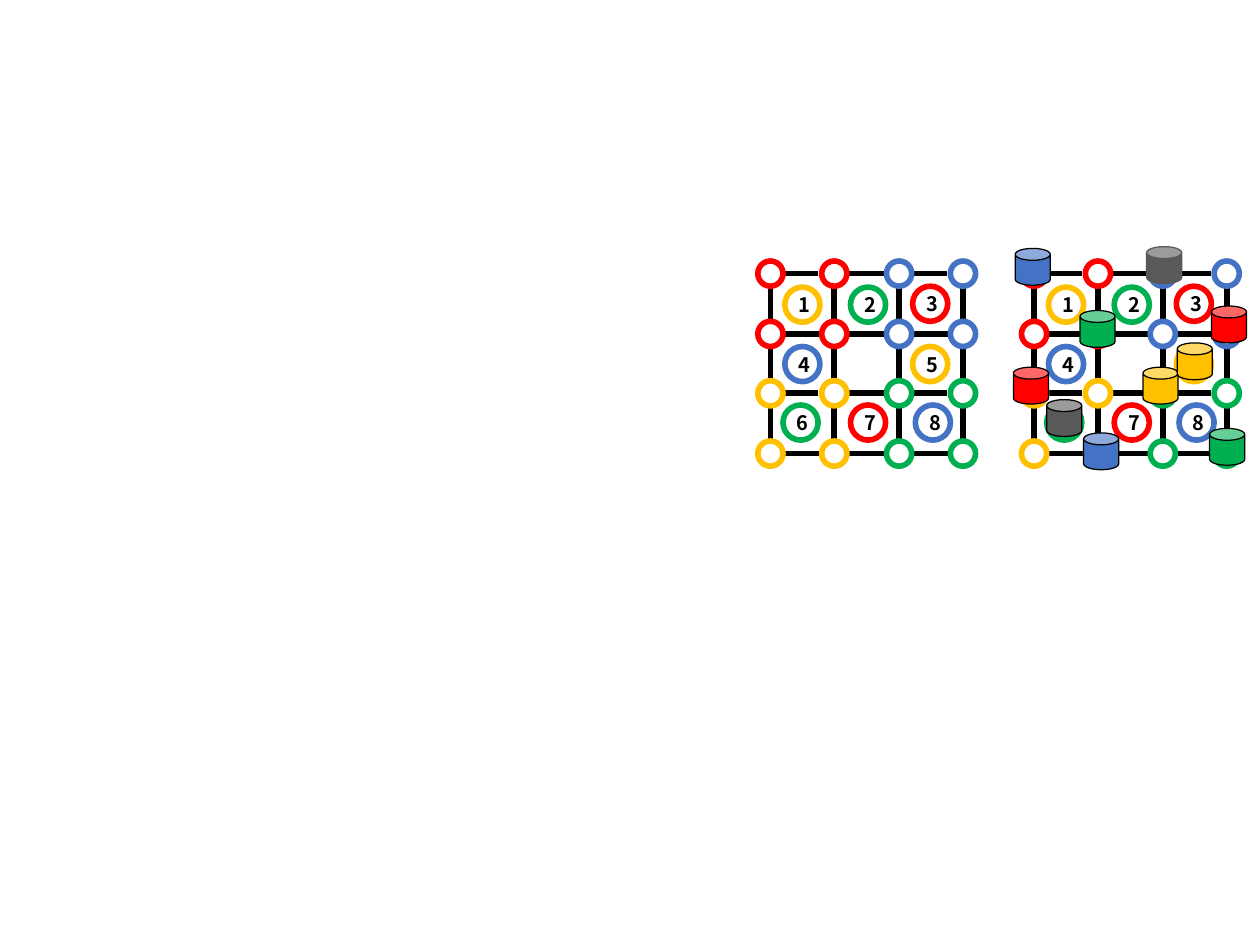
import pptx
import pptx.dml.color
import pptx.enum.shapes
import pptx.enum.text
import pptx.oxml
import pptx.util

PX = pptx.util.Inches(1) // 100
COLORS = {
    "black": "000000",
    "gray": "595959",
    "red": "FF0000",
    "blue": "4472C4",
    "yellow": "FFC000",
    "green": "00B050",
}
SHAPES = pptx.enum.shapes.MSO_SHAPE

NODE = 28
COLS = [842, 913, 985, 1056]
ROWS = [290, 357, 423, 490]
NODE_COLORS = [
    ["red", "red", "blue", "blue"],
    ["red", "red", "blue", "blue"],
    ["yellow", "yellow", "green", "green"],
    ["yellow", "yellow", "green", "green"],
]
TILES = [
    ("1", 872, 319, "yellow"),
    ("2", 945, 319, "green"),
    ("3", 1014, 318, "red"),
    ("4", 872, 385, "blue"),
    ("5", 1014, 385, "yellow"),
    ("6", 870, 450, "green"),
    ("7", 945, 450, "red"),
    ("8", 1017, 450, "blue"),
]
CANS = [
    (1128, 276, "blue", "black"),
    (1274, 274, "gray", "gray"),
    (1163, 444, "gray", "black"),
    (1346, 340, "red", "black"),
    (1126, 408, "red", "black"),
    (1270, 408, "yellow", "black"),
    (1308, 381, "yellow", "black"),
    (1200, 345, "green", "black"),
    (1344, 476, "green", "black"),
    (1204, 481, "blue", "black"),
]


class Board:
    font = "Noto Sans CJK JP"
    text_size = 16
    stroke = 4.5
    can_stroke = 1
    tile_size = 39

    def __init__(self, slide):
        self.slide = slide

    def color(self, name):
        return pptx.dml.color.RGBColor.from_string(COLORS[name])

    def outline(self, s, color, width):
        s.line.color.rgb = self.color(color)
        s.line.width = pptx.util.Pt(width)

    def shape(self, kind, x, y, w, h, line, width):
        sp = self.slide.shapes.add_shape(kind, x * PX, y * PX, w * PX, h * PX)
        sp.shadow.inherit = False
        self.outline(sp, line, width)
        return sp

    def edge(self, x1, y1, x2, y2):
        s = self.slide.shapes.add_connector(
            pptx.enum.shapes.MSO_CONNECTOR.STRAIGHT, x1 * PX, y1 * PX, x2 * PX, y2 * PX
        )
        self.outline(s, "black", self.stroke)
        sp_pr = s._element.spPr
        sp_pr.append(pptx.oxml.parse_xml(
            '<a:effectLst xmlns:a="http://schemas.openxmlformats.org/drawingml/2006/main"/>'
        ))

    def ring(self, x, y, size, color):
        sp = self.shape(SHAPES.OVAL, x, y, size, size, color, self.stroke)
        sp.fill.background()
        return sp

    def tile(self, number, x, y, color):
        tf = self.ring(x, y, self.tile_size, color).text_frame
        tf.vertical_anchor = pptx.enum.text.MSO_ANCHOR.MIDDLE
        p = tf.paragraphs[0]
        p.alignment = pptx.enum.text.PP_ALIGN.CENTER
        r = p.add_run()
        r.text = number
        r.font.name = self.font
        r.font.size = pptx.util.Pt(self.text_size)
        r.font.bold = True
        r.font.color.rgb = self.color("black")

    def can(self, x, y, fill, line):
        sp = self.shape(SHAPES.CAN, x, y, 39, 41, line, self.can_stroke)
        sp.adjustments[0] = 0.34
        sp.fill.solid()
        sp.fill.fore_color.rgb = self.color(fill)

    def grid(self, dx):
        half = NODE // 2
        for i, y in enumerate(ROWS):
            for j, (x, x_next) in enumerate(zip(COLS, COLS[1:])):
                short = 4 if i % 2 == 0 and j % 2 == 0 else 0
                self.edge(dx + x + NODE, y + half, dx + x_next - short, y + half)
        for x in COLS:
            for y, y_next in zip(ROWS, ROWS[1:]):
                self.edge(dx + x + half, y + NODE, dx + x + half, y_next)
        for y, colors in zip(ROWS, NODE_COLORS):
            for x, color in zip(COLS, colors):
                self.ring(dx + x, y, NODE, color)
        for number, x, y, color in TILES:
            self.tile(number, dx + x, y, color)


def main():
    prs = pptx.Presentation()
    prs.slide_width = 1400 * PX
    prs.slide_height = 1050 * PX
    board = Board(prs.slides.add_slide(prs.slide_layouts[6]))
    for dx in (0, 293):
        board.grid(dx)
    for can in CANS:
        board.can(*can)
    prs.save("out.pptx")


if __name__ == "__main__":
    main()
